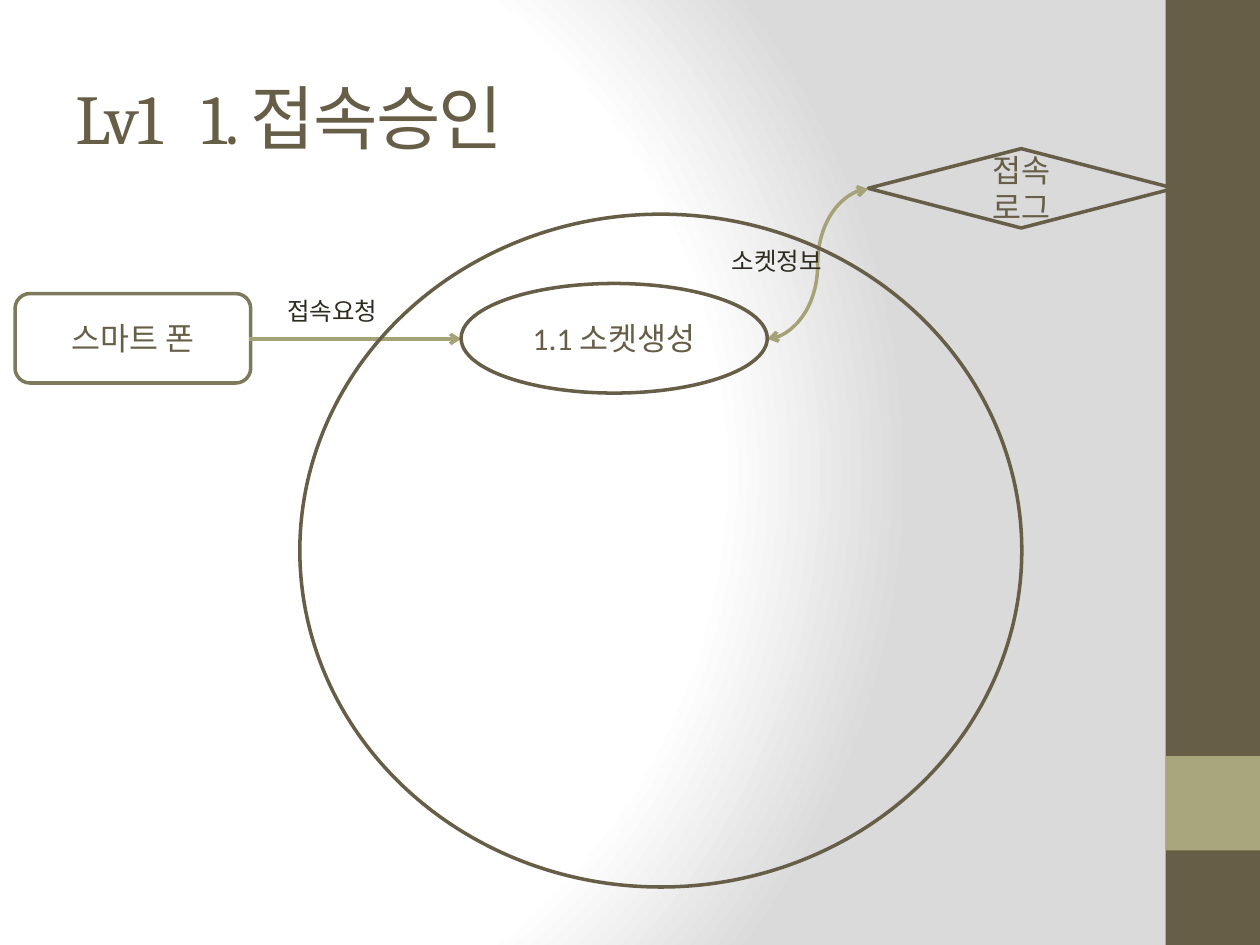
from lxml.etree import SubElement
from pptx import Presentation
from pptx.dml.color import RGBColor
from pptx.enum.shapes import MSO_CONNECTOR, MSO_SHAPE
from pptx.enum.text import MSO_ANCHOR, PP_ALIGN
from pptx.oxml.ns import qn
from pptx.util import Inches, Pt

COLORS = {
    "brown": "675E47",
    "olive": "A9A57C",
    "arrow": "A6A278",
    "phone": "7D7A5C",
    "ink": "2F2B20",
    "white": "FFFFFF",
    "gray": "DADADA",
}


def rgb(name):
    return RGBColor.from_string(COLORS[name])


def write(tf, text, size=18, font="Calibri", color="brown", align=PP_ALIGN.CENTER,
          anchor=MSO_ANCHOR.MIDDLE, spacing=None, tab=None):
    tf.word_wrap = True
    tf.vertical_anchor = anchor
    for i, line in enumerate(text.split("\n")):
        p = tf.add_paragraph() if i else tf.paragraphs[0]
        p.alignment = align
        r = p.add_run()
        r.text = line
        r.font.size = Pt(size)
        r.font.name = font
        r.font.color.rgb = rgb(color)
        if spacing:
            r._r.get_or_add_rPr().set("spc", str(spacing))
        if tab:
            tabs = SubElement(p._p.get_or_add_pPr(), qn("a:tabLst"))
            SubElement(tabs, qn("a:tab"), pos=str(Inches(tab)), algn="l")


class Board:
    line_width = Pt(2)

    def __init__(self, prs):
        self.s = prs.slides.add_slide(prs.slide_layouts[6])

    def background(self, stops, focus):
        self.s.background.fill.solid()
        bg = self.s._element.find(".//" + qn("p:bgPr"))
        bg.remove(bg.find(qn("a:solidFill")))
        grad = SubElement(bg, qn("a:gradFill"), rotWithShape="1")
        bg.insert(0, grad)
        stop_list = SubElement(grad, qn("a:gsLst"))
        for pos, color in stops:
            gs = SubElement(stop_list, qn("a:gs"), pos=str(pos * 1000))
            SubElement(gs, qn("a:srgbClr"), val=COLORS[color])
        circle = SubElement(grad, qn("a:path"), path="circle")
        SubElement(circle, qn("a:fillToRect"),
                   {side: str(v * 1000) for side, v in zip("ltrb", focus)})

    def shape(self, kind, box, text=None, fill=None, line=None):
        sp = self.s.shapes.add_shape(kind, *map(Inches, box))
        sp.shadow.inherit = False
        if fill:
            sp.fill.solid()
            sp.fill.fore_color.rgb = rgb(fill)
        else:
            sp.fill.background()
        if line:
            sp.line.color.rgb = rgb(line)
            sp.line.width = self.line_width
        else:
            sp.line.fill.background()
        if text:
            write(sp.text_frame, text)

    def label(self, box, text, **style):
        sp = self.s.shapes.add_textbox(*map(Inches, box))
        write(sp.text_frame, text, align=PP_ALIGN.LEFT, **style)

    def arrow(self, kind, start, end, heads=("tailEnd",)):
        cx = self.s.shapes.add_connector(kind, *map(Inches, start + end))
        cx.line.color.rgb = rgb("arrow")
        cx.line.width = self.line_width
        ln = cx.line._get_or_add_ln()
        for head in heads:
            SubElement(ln, qn("a:" + head), type="arrow")
        SubElement(cx._element.spPr, qn("a:effectLst"))


def main():
    prs = Presentation()
    prs.slide_width, prs.slide_height = Inches(10), Inches(7.5)
    b = Board(prs)
    b.background([(0, "white"), (75, "white"), (100, "gray")], (20, 50, 100, 50))
    b.shape(MSO_SHAPE.RECTANGLE, (9.25, 0, 0.75, 7.5), fill="brown")
    b.shape(MSO_SHAPE.RECTANGLE, (9.25, 6, 0.75, 0.75), fill="olive")
    b.label((0.5, 0.3, 8.33, 1.25), "Lv1\t1. 접속승인", size=40, font="Cambria",
            spacing=-100, tab=1)

    b.shape(MSO_SHAPE.ROUNDED_RECTANGLE, (0.12, 2.33, 1.87, 0.71), "스마트 폰", line="phone")
    b.arrow(MSO_CONNECTOR.STRAIGHT, (1.98, 2.69), (3.66, 2.69))
    b.shape(MSO_SHAPE.DIAMOND, (6.89, 1.18, 2.43, 0.63), "접속\n로그", line="brown")
    b.arrow(MSO_CONNECTOR.CURVE, (6.09, 2.69), (6.89, 1.5), ("headEnd", "tailEnd"))
    b.shape(MSO_SHAPE.OVAL, (2.38, 1.7, 5.73, 5.34), line="brown")
    b.shape(MSO_SHAPE.OVAL, (3.66, 2.25, 2.43, 0.87), "1.1 소켓생성", line="brown")

    flow = {"size": 14, "color": "ink", "anchor": MSO_ANCHOR.TOP}
    b.label((2.18, 2.3, 1.28, 0.34), "접속요청", **flow)
    b.label((5.71, 1.9, 1.75, 0.34), "소켓정보", **flow)
    prs.save("out.pptx")


if __name__ == "__main__":
    main()
